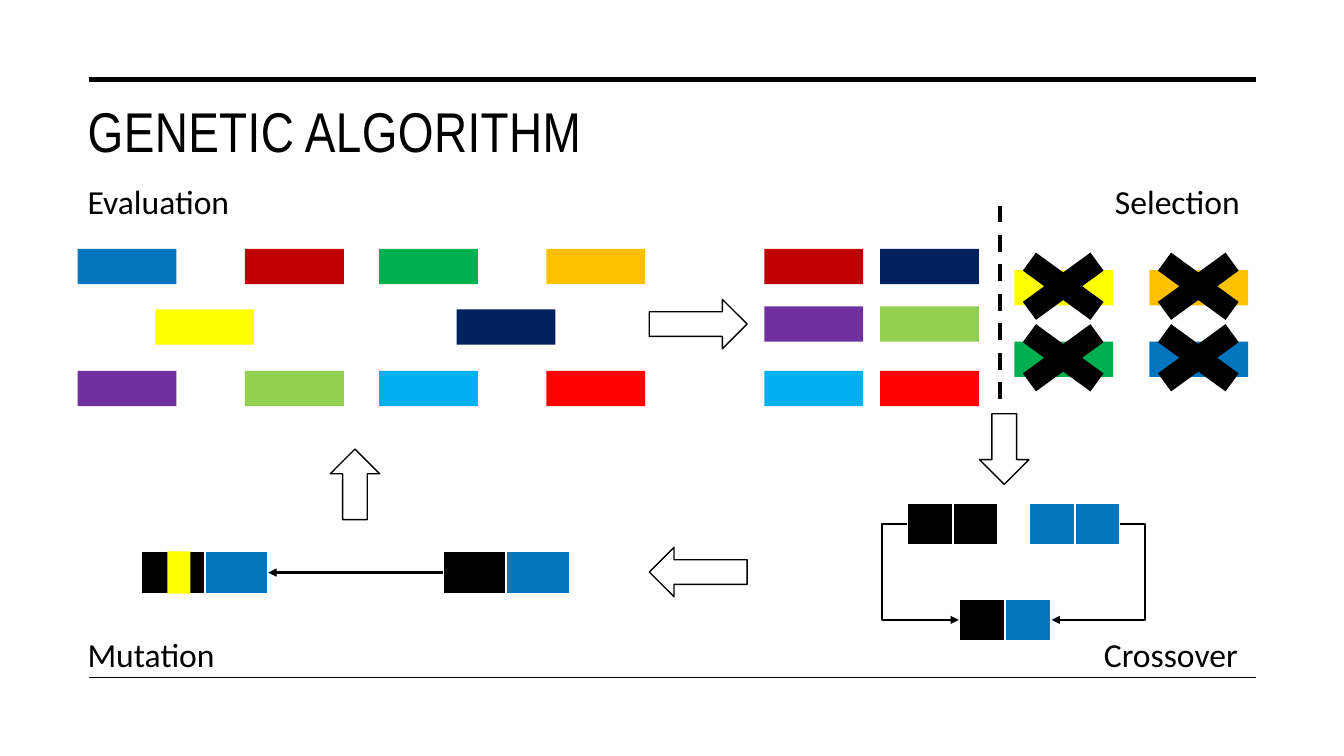
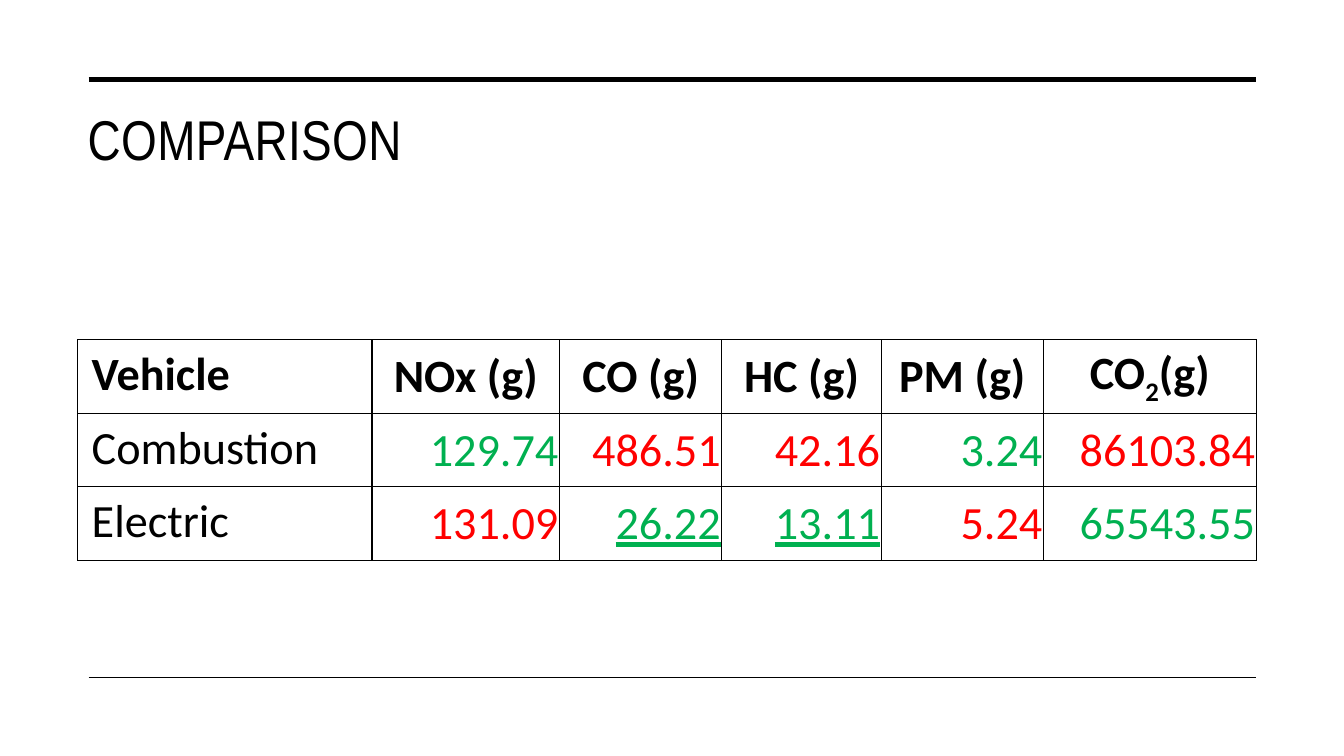
from dataclasses import dataclass

from lxml import etree
from pptx import Presentation
from pptx.dml.color import RGBColor
from pptx.enum.dml import MSO_LINE
from pptx.enum.shapes import MSO_CONNECTOR, MSO_SHAPE
from pptx.enum.text import MSO_ANCHOR, MSO_AUTO_SIZE, PP_ALIGN
from pptx.oxml.ns import qn
from pptx.util import Inches, Pt

RECT, ARROW, CROSS = MSO_SHAPE.RECTANGLE, MSO_SHAPE.RIGHT_ARROW, MSO_SHAPE.MATH_MULTIPLY
STRAIGHT, ELBOW = MSO_CONNECTOR.STRAIGHT, MSO_CONNECTOR.ELBOW
TOP, MIDDLE = MSO_ANCHOR.TOP, MSO_ANCHOR.MIDDLE
LEFT, CENTER, RIGHT = PP_ALIGN.LEFT, PP_ALIGN.CENTER, PP_ALIGN.RIGHT
LEFT_SITE, RIGHT_SITE = 1, 3


@dataclass(frozen=True)
class Theme:
    black: str = "000000"
    white: str = "FFFFFF"
    blue: str = "0176BF"
    yellow: str = "FFFF00"
    purple: str = "7030A0"
    crimson: str = "C00000"
    lime: str = "92D050"
    green: str = "00B050"
    navy: str = "002060"
    sky: str = "00B0F0"
    amber: str = "FFC000"
    red: str = "FF0000"
    title_font: str = "Arial Narrow"
    body_font: str = "Calibri"
    title_size: int = 40
    label_size: int = 24
    table_size: int = 33


T = Theme()
MARGIN, CONTENT_WIDTH = 0.77, 11.69
CHIP = (0.98, 0.35)


def write(frame, text, *, size, font=T.body_font, color=T.black, bold=False,
          underline=False, align=LEFT, spacing=None):
    """Fill the first paragraph; text is a string or (text, baseline) pairs."""
    paragraph = frame.paragraphs[0]
    paragraph.alignment = align
    for part, baseline in [(text, 0)] if isinstance(text, str) else text:
        run = paragraph.add_run()
        run.text = part
        run.font.name, run.font.size = font, Pt(size)
        run.font.bold, run.font.underline = bold, underline
        run.font.color.rgb = RGBColor.from_string(color)
        properties = run._r.get_or_add_rPr()
        if baseline:
            properties.set("baseline", str(baseline * 1000))
        if spacing:
            properties.set("spc", str(round(spacing * 100)))


def add_shape(slide, kind, left, top, width, height, fill, line=None, weight=1, turn=0):
    shape = slide.shapes.add_shape(kind, *map(Inches, (left, top, width, height)))
    shape.shadow.inherit = False
    shape.rotation = turn
    shape.fill.solid()
    shape.fill.fore_color.rgb = RGBColor.from_string(fill)
    if line:
        shape.line.color.rgb = RGBColor.from_string(line)
        shape.line.width = Pt(weight)
    else:
        shape.line.fill.background()
    return shape


def add_line(slide, start, end, weight, kind=STRAIGHT):
    connector = slide.shapes.add_connector(kind, *map(Inches, (*start, *end)))
    connector.line.color.rgb = RGBColor.from_string(T.black)
    connector.line.width = Pt(weight)
    etree.SubElement(connector._element.spPr, qn("a:effectLst"))
    return connector


def link(slide, source, source_site, target, target_site, kind=STRAIGHT, detour=None):
    """Arrow between two shapes; an elbow leaves its source by detour inches."""
    connector = add_line(slide, (0, 0), (1, 1), 1.5, kind)
    connector.begin_connect(source, source_site)
    connector.end_connect(target, target_site)
    line = connector.line._get_or_add_ln()
    etree.SubElement(line, qn("a:tailEnd"), type="triangle")
    if detour:
        ratio = round(-Inches(detour) / connector.width * 100000)
        guides = connector._element.spPr.find(qn("a:prstGeom")).get_or_add_avLst()
        etree.SubElement(guides, qn("a:gd"), name="adj1", fmla=f"val {ratio}")


def add_label(slide, text, left, top, width):
    label = slide.shapes.add_textbox(*map(Inches, (left, top, width, 0.5)))
    label.text_frame.word_wrap = False
    label.text_frame.auto_size = MSO_AUTO_SIZE.SHAPE_TO_FIT_TEXT
    write(label.text_frame, text, size=T.label_size)


def add_title_slide(deck, layout, text, top, height):
    slide = deck.slides.add_slide(layout)
    title = slide.shapes.title
    title.left, title.top, title.width, title.height = map(
        Inches, (MARGIN, top, CONTENT_WIDTH, height))
    title.text_frame.auto_size = MSO_AUTO_SIZE.NONE
    title.text_frame.vertical_anchor = TOP
    write(title.text_frame, text, size=T.title_size, font=T.title_font, spacing=0.3)
    return slide


def add_layout_rules(layout, slide):
    """Draw the top and bottom rules, then move them to the shared layout."""
    for number, (y, weight) in enumerate([(0.79, 3.5), (6.72, 1)]):
        rule = add_line(slide, (0.88, y), (12.46, y), weight)._element
        rule.nvCxnSpPr.cNvPr.set("id", str(100 + number))
        layout.shapes._spTree.append(rule)


def add_population(slide, left, top):
    places = [(0, 0), (0.77, 0.6), (0, 1.21), (1.66, 0), (1.66, 1.21)]
    clusters = [
        (T.blue, T.yellow, T.purple, T.crimson, T.lime),
        (T.green, T.navy, T.sky, T.amber, T.red),
    ]
    for number, colors in enumerate(clusters):
        for (dx, dy), color in zip(places, colors):
            add_shape(slide, RECT, left + 2.99 * number + dx, top + dy, *CHIP, color)


def add_survivors(slide, left, top):
    rows = [(0, T.crimson, T.navy), (0.57, T.purple, T.lime), (1.21, T.sky, T.red)]
    for dy, *colors in rows:
        for column, color in enumerate(colors):
            add_shape(slide, RECT, left + 1.15 * column, top + dy, *CHIP, color)


def add_rejected(slide, left, top):
    for row, colors in enumerate([(T.yellow, T.amber), (T.green, T.blue)]):
        for column, color in enumerate(colors):
            x, y = left + 1.34 * column, top + 0.71 * row
            add_shape(slide, RECT, x, y, *CHIP, color)
            add_shape(slide, CROSS, x - 0.16, y - 0.31, 1.29, 0.94, T.black)


def add_genome(slide, left, top, gene_width, colors):
    return [
        add_shape(slide, RECT, left + gene_width * i, top, gene_width, 0.42, color,
                  T.white, 1.5)
        for i, color in enumerate(colors)
    ]


def add_crossover(slide, left, top):
    black_parent = add_genome(slide, left, top, 0.45, (T.black, T.black))
    blue_parent = add_genome(slide, left + 1.21, top, 0.45, (T.blue, T.blue))
    child = add_genome(slide, left + 0.51, top + 0.95, 0.46, (T.black, T.blue))
    link(slide, black_parent[0], LEFT_SITE, child[0], LEFT_SITE, ELBOW, 0.25)
    link(slide, blue_parent[1], RIGHT_SITE, child[1], RIGHT_SITE, ELBOW, 0.25)


def add_mutation(slide, left, top):
    colors = (T.black, T.blue)
    mutant = add_genome(slide, left, top, 0.63, colors)
    parent = add_genome(slide, left + 2.99, top, 0.63, colors)
    link(slide, parent[0], LEFT_SITE, mutant[1], RIGHT_SITE)
    add_shape(slide, RECT, left + 0.26, top, 0.23, 0.42, T.yellow)


def add_stage_arrows(slide):
    for left, top, width, turn in [(6.44, 2.97, 0.97, 0), (9.61, 4.21, 0.7, 90),
                                   (6.44, 5.43, 0.97, 180), (3.17, 4.56, 0.7, 270)]:
        add_shape(slide, ARROW, left, top, width, 0.49, T.white, T.black, turn=turn)


def build_algorithm(slide):
    for text, left, top, width in [
        ("Evaluation", MARGIN, 1.75, 1.76), ("Selection", 10.96, 1.75, 1.5),
        ("Mutation", MARGIN, 6.24, 1.54), ("Crossover", 10.85, 6.24, 1.61),
    ]:
        add_label(slide, text, left, top, width)
    add_population(slide, MARGIN, 2.47)
    add_survivors(slide, 7.58, 2.47)
    divider = add_line(slide, (9.92, 2.04), (9.92, 4.04), 3)
    divider.line.dash_style = MSO_LINE.DASH
    add_rejected(slide, 10.06, 2.68)
    add_crossover(slide, 9, 4.99)
    add_mutation(slide, 1.4, 5.47)
    add_stage_arrows(slide)


def format_cell(cell, is_name):
    """Set borders, white fill, margins and anchor."""
    properties = cell._tc.get_or_add_tcPr()
    for side in ("lnL", "lnR", "lnT", "lnB"):
        border = etree.SubElement(properties, qn(f"a:{side}"), w=str(Pt(1)))
        fill = etree.SubElement(border, qn("a:solidFill"))
        etree.SubElement(fill, qn("a:srgbClr"), val=T.black)
    cell.fill.solid()
    cell.fill.fore_color.rgb = RGBColor.from_string(T.white)
    cell.vertical_anchor = TOP if is_name else MIDDLE
    cell.margin_left = cell.margin_right = Inches(0.14 if is_name else 0.01)
    cell.margin_top = Inches(0.07 if is_name else 0.01)
    cell.margin_bottom = Inches(0.07 if is_name else 0)


def build_comparison(slide, left, top):
    header = ["Vehicle", "NOx (g)", "CO (g)", "HC (g)", "PM (g)",
              [("CO", 0), ("2", -25), ("(g)", 0)]]
    combustion = ["Combustion", "129.74", "486.51", "42.16", "3.24", "86103.84"]
    electric = ["Electric", "131.09", "26.22", "13.11", "5.24", "65543.55"]
    underlined = {"26.22", "13.11"}
    widths = [2.92, 1.86, 1.61, 1.58, 1.61, 2.11]
    row_height = 0.73
    emissions = slide.shapes.add_table(
        3, len(widths), Inches(left), Inches(top),
        Inches(sum(widths)), Inches(3 * row_height)).table
    emissions.first_row = emissions.horz_banding = False
    for column, width in zip(emissions.columns, widths):
        column.width = Inches(width)
    for row in emissions.rows:
        row.height = Inches(row_height)
    for c, (heading, *values) in enumerate(zip(header, combustion, electric)):
        is_name = c == 0
        for r, text in enumerate([heading, *values]):
            cell = emissions.cell(r, c)
            format_cell(cell, is_name)
            if is_name or r == 0:
                color, align = T.black, LEFT if is_name else CENTER
            else:
                lowest = min(values, key=float)
                color, align = T.green if text == lowest else T.red, RIGHT
            write(cell.text_frame, text, size=T.table_size, color=color, align=align,
                  bold=r == 0, underline=r > 0 and text in underlined)


def main():
    deck = Presentation()
    deck.slide_width, deck.slide_height = Inches(13.33), Inches(7.5)
    layout = deck.slide_layouts[5]
    algorithm = add_title_slide(deck, layout, "GENETIC ALGORITHM", 0.91, 0.84)
    add_layout_rules(layout, algorithm)
    build_algorithm(algorithm)
    comparison = add_title_slide(deck, layout, "COMPARISON", 0.99, 1.26)
    build_comparison(comparison, MARGIN, 3.37)
    deck.save("out.pptx")


if __name__ == "__main__":
    main()
